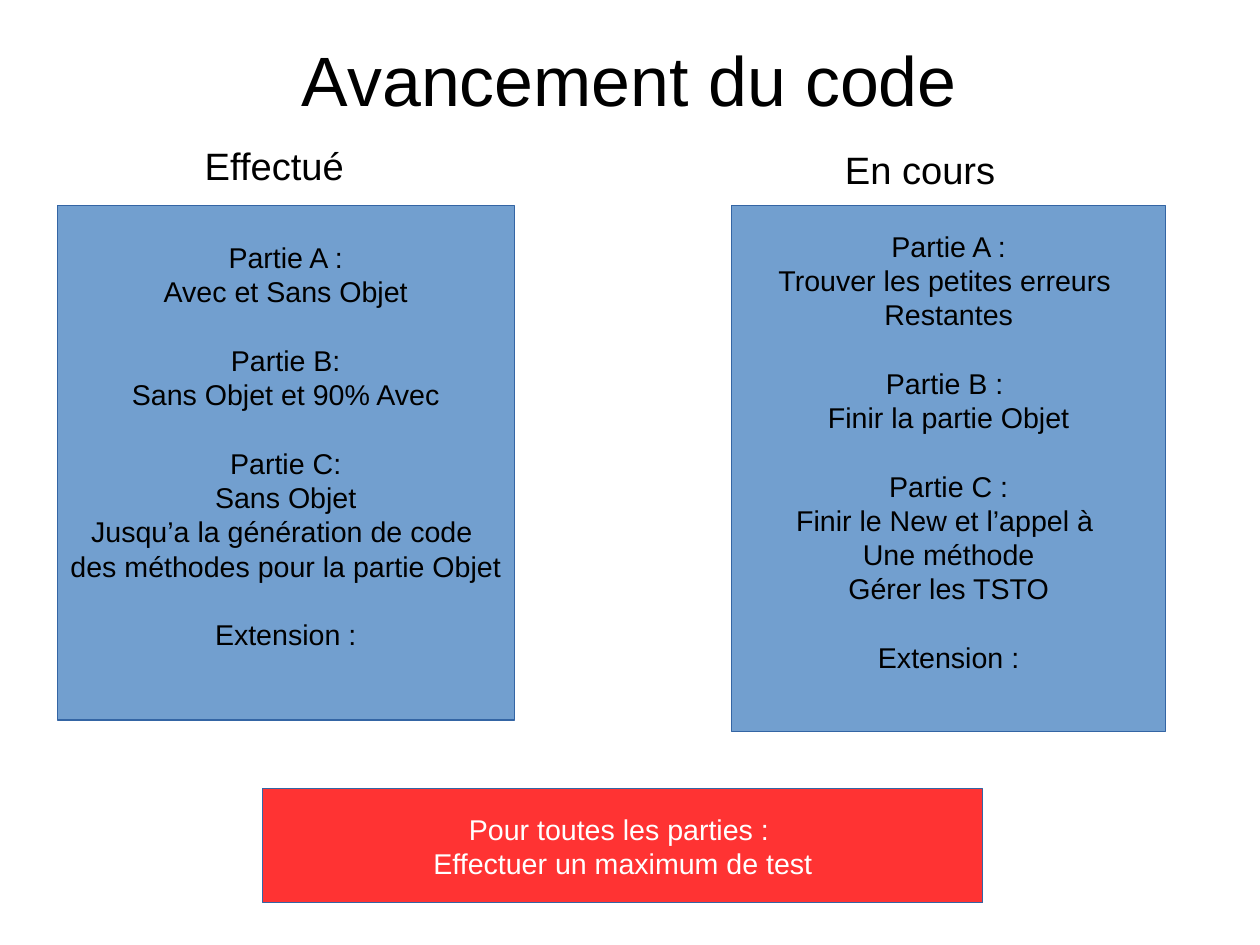
from dataclasses import dataclass

from pptx import Presentation
from pptx.dml.color import RGBColor
from pptx.enum.shapes import MSO_SHAPE as Preset
from pptx.enum.text import MSO_ANCHOR as Anchor, PP_ALIGN as Align
from pptx.util import Cm, Inches, Length, Pt

SLIDE_WIDTH, SLIDE_HEIGHT = Cm(28), Cm(21)
CELL = 0.1
BODY_LINE = 21.6
BLACK, WHITE = "000000", "FFFFFF"
BLUE, RED, OUTLINE = "729FCF", "FF3333", "3465A4"

Sections = tuple[tuple[str, ...], ...]


@dataclass(frozen=True)
class Area:
    column: float
    row: float
    columns: float
    rows: float


@dataclass(frozen=True)
class Heading:
    area: Area
    label: str


@dataclass(frozen=True)
class Panel:
    area: Area
    fill: str
    ink: str
    sections: Sections
    bottom: float = 0.5


HEADINGS = (
    Heading(Area(7, 12, 34, 4.7), "Effectué"),
    Heading(Area(64, 12.3, 33, 4.7), "En cours"),
)

PANELS = (
    Panel(Area(5, 18, 40, 45), BLUE, BLACK, (
        ("Partie A :", "Avec et Sans Objet"),
        ("Partie B:", "Sans Objet et 90% Avec"),
        ("Partie C:", "Sans Objet", "Jusqu’a la génération de code ",
         "des méthodes pour la partie Objet"),
        ("Extension :",),
    ), bottom=3.5),
    Panel(Area(64, 18, 38, 46), BLUE, BLACK, (
        ("Partie A :", "Trouver les petites erreurs ", "Restantes"),
        ("Partie B : ", "Finir la partie Objet"),
        ("Partie C :", "Finir le New et l’appel à ", "Une méthode",
         "Gérer les TSTO"),
        ("Extension :",),
    ), bottom=3.5),
    Panel(Area(23, 69, 63, 10), RED, WHITE, (
        ("Pour toutes les parties : ", "Effectuer un maximum de test"),
    )),
)


def cells(count: float) -> Length:
    return Inches(round(count * CELL, 2))


def bounds(area: Area) -> tuple[Length, ...]:
    return tuple(map(cells, (area.column, area.row, area.columns, area.rows)))


def color(value: str) -> RGBColor:
    return RGBColor.from_string(value)


def write(frame, sections: Sections, *, size: float, ink: str = BLACK,
          anchor: Anchor = Anchor.TOP, wrap: bool = True,
          side: float = 1, top: float = 0.5, bottom: float = 0.5) -> None:
    frame.word_wrap = wrap
    frame.vertical_anchor = anchor
    frame.margin_left = frame.margin_right = cells(side)
    frame.margin_top, frame.margin_bottom = cells(top), cells(bottom)
    lines = [(line, position == 0 and section > 0)
             for section, group in enumerate(sections)
             for position, line in enumerate(group)]
    for index, (line, opens_section) in enumerate(lines):
        paragraph = frame.add_paragraph() if index else frame.paragraphs[0]
        paragraph.alignment = Align.CENTER
        paragraph.space_before = Pt(BODY_LINE if opens_section else 0)
        run = paragraph.add_run()
        run.text = line
        run.font.name = "Arial"
        run.font.size = Pt(size)
        run.font.color.rgb = color(ink)


def draw_title(slide, area: Area, label: str) -> None:
    title = slide.shapes.title
    title.left, title.top, title.width, title.height = bounds(area)
    write(title.text_frame, ((label,),), size=44, anchor=Anchor.MIDDLE,
          side=0, top=0, bottom=0)


def draw_heading(slide, heading: Heading) -> None:
    label = slide.shapes.add_textbox(*bounds(heading.area))
    write(label.text_frame, ((heading.label,),), size=24)


def draw_panel(slide, panel: Panel) -> None:
    box = slide.shapes.add_shape(Preset.RECTANGLE, *bounds(panel.area))
    box.shadow.inherit = False
    box.fill.solid()
    box.fill.fore_color.rgb = color(panel.fill)
    box.line.color.rgb = color(OUTLINE)
    box.line.width = Pt(0)
    write(box.text_frame, panel.sections, size=18, ink=panel.ink,
          anchor=Anchor.MIDDLE, wrap=False, bottom=panel.bottom)


def main() -> None:
    deck = Presentation()
    deck.slide_width, deck.slide_height = SLIDE_WIDTH, SLIDE_HEIGHT
    slide = deck.slides.add_slide(deck.slide_layouts[5])
    draw_title(slide, Area(5.5, 0, 99.2, 13.8), "Avancement du code")
    for panel in PANELS:
        draw_panel(slide, panel)
    for heading in HEADINGS:
        draw_heading(slide, heading)
    deck.save("out.pptx")


if __name__ == "__main__":
    main()
